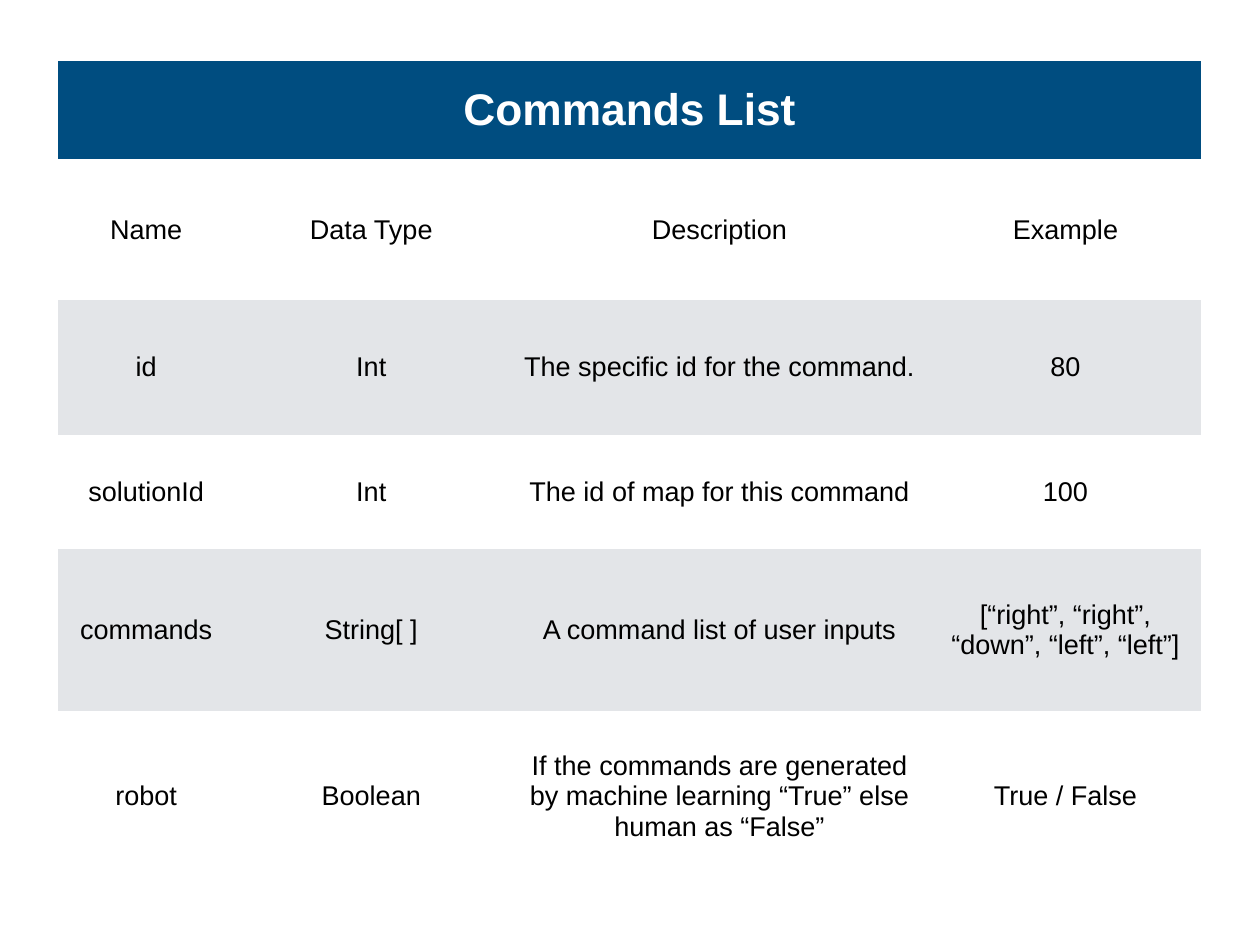
from pptx import Presentation
from pptx.dml.color import RGBColor
from pptx.enum.text import MSO_ANCHOR, PP_ALIGN
from pptx.oxml.ns import qn
from pptx.util import Inches, Pt

# Content
TITLE = "Commands List"
FIELDS = [
    ("Name", "Data Type", "Description", "Example"),
    ("id", "Int", "The specific id for the command.", "80"),
    ("solutionId", "Int", "The id of map for this command", "100"),
    ("commands", "String[ ]", "A command list of user inputs",
     "[“right”, “right”, “down”, “left”, “left”]"),
    ("robot", "Boolean",
     "If the commands are generated by machine learning “True” else human as “False”",
     "True / False"),
]

# Grid, in inches
SLIDE_W, SLIDE_H = 14.22, 10.67
LEFT, TOP = 0.66, 0.69
COLS = [1.98, 3.1, 1.36, 2.15, 1.25, 3.05]
ROWS = [1.11, 1.59, 1.52, 1.29, 1.83, 1.93]
FIELD_SPANS = [(0, 0), (1, 1), (2, 4), (5, 5)]  # first and last column of each field
INSET = 0.06

# Look
FONT = "Arial"
NAVY, WHITE, GREY, BLACK = "004D80", "FFFFFF", "E3E5E8", "000000"
BANDS = [WHITE, GREY]
NO_STYLE = "{2D5ABB26-0587-4C30-8999-92F81FD0307C}"


def rgb(value):
    return RGBColor.from_string(value)


def fill_cells(table, row, first, last, text, fill, color=BLACK, size=22, bold=False):
    """Fill the cells first..last of a row, merge them and write the text."""
    for col in range(first, last + 1):
        cell = table.cell(row, col)
        cell.fill.solid()
        cell.fill.fore_color.rgb = rgb(fill)
    cell = table.cell(row, first)
    if last > first:
        cell.merge(table.cell(row, last))
    cell.margin_left = cell.margin_right = Inches(INSET)
    cell.margin_top = cell.margin_bottom = Inches(INSET)
    cell.vertical_anchor = MSO_ANCHOR.MIDDLE
    p = cell.text_frame.paragraphs[0]
    p.text = text
    p.alignment = PP_ALIGN.CENTER
    p.font.name, p.font.size, p.font.bold = FONT, Pt(size), bold
    p.font.color.rgb = rgb(color)


prs = Presentation()
prs.slide_width, prs.slide_height = Inches(SLIDE_W), Inches(SLIDE_H)
s = prs.slides.add_slide(prs.slide_layouts[6])

# Table without borders or banded style
frame = s.shapes.add_table(len(ROWS), len(COLS), Inches(LEFT), Inches(TOP),
                           Inches(sum(COLS)), Inches(sum(ROWS)))
table = frame.table
table.first_row = table.horz_banding = False
for style in frame.element.iter(qn("a:tableStyleId")):
    style.text = NO_STYLE
for column, width in zip(table.columns, COLS):
    column.width = Inches(width)
for row, height in zip(table.rows, ROWS):
    row.height = Inches(height)

# Title row
fill_cells(table, 0, 0, len(COLS) - 1, TITLE, NAVY, WHITE, 36, True)

# Header and field rows, in alternating bands
for i, field in enumerate(FIELDS):
    for (first, last), text in zip(FIELD_SPANS, field):
        fill_cells(table, i + 1, first, last, text, BANDS[i % 2])

prs.save("out.pptx")
